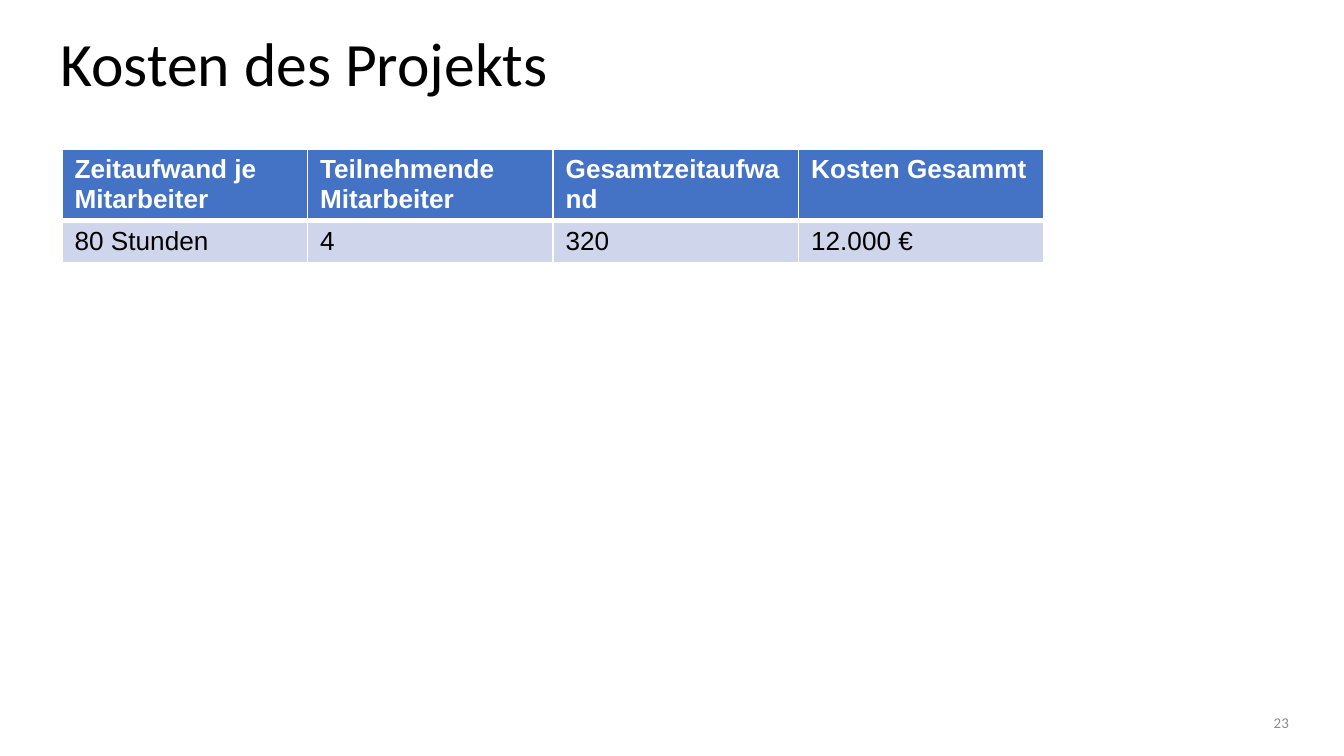
from lxml.etree import SubElement
from pptx import Presentation
from pptx.dml.color import RGBColor
from pptx.enum.text import MSO_ANCHOR, PP_ALIGN
from pptx.oxml.ns import qn
from pptx.util import Cm, Pt

TITLE = "Kosten des Projekts"
PAGE_NUMBER = "23"
ROWS = [
    ["Zeitaufwand je Mitarbeiter", "Teilnehmende Mitarbeiter", "Gesamtzeitaufwand", "Kosten Gesammt"],
    ["80 Stunden", "4", "320", "12.000 €"],
]
ROW_HEIGHTS = [1.35, 0.77]
COLUMN_WIDTH = 4.64
COLORS = {"header": "4472C4", "body": "CFD5EA", "white": "FFFFFF", "black": "000000", "gray": "8C8C8C"}


def color(name):
    return RGBColor.from_string(COLORS[name])


def style_text(paragraph, font_name, size, color_name, bold=False):
    font = paragraph.font
    font.name, font.size, font.bold = font_name, Pt(size), bold
    font.color.rgb = color(color_name)


def add_border(cell, side, width):
    line = SubElement(cell._tc.get_or_add_tcPr(), qn(f"a:ln{side}"), w=str(Pt(width)))
    fill = SubElement(line, qn("a:solidFill"))
    SubElement(fill, qn("a:srgbClr"), val=COLORS["white"])


def add_title(page):
    title = page.shapes.title
    title.left, title.top, title.width, title.height = Cm(0.89), Cm(0.46), Cm(23.5), Cm(1.6)
    frame = title.text_frame
    frame.text = TITLE
    frame.vertical_anchor = MSO_ANCHOR.MIDDLE
    para = frame.paragraphs[0]
    para.alignment, para.line_spacing = PP_ALIGN.LEFT, 0.9
    style_text(para, "Calibri", 33, "black")


def add_cost_table(page):
    columns = len(ROWS[0])
    table = page.shapes.add_table(
        len(ROWS), columns, Cm(1.17), Cm(2.81), Cm(columns * COLUMN_WIDTH), Cm(sum(ROW_HEIGHTS))
    ).table
    for column in table.columns:
        column.width = Cm(COLUMN_WIDTH)
    for row_index, (texts, height) in enumerate(zip(ROWS, ROW_HEIGHTS)):
        header = row_index == 0
        table.rows[row_index].height = Cm(height)
        widths = {"L": 1, "R": 1, "T": 1 if header else 3, "B": 3 if header else 1}
        for column_index, text in enumerate(texts):
            cell = table.cell(row_index, column_index)
            cell.text = text
            cell.margin_left = cell.margin_right = Cm(0.24)
            cell.margin_top = cell.margin_bottom = Cm(0.12)
            for side, width in widths.items():
                add_border(cell, side, width)
            cell.fill.solid()
            cell.fill.fore_color.rgb = color("header" if header else "body")
            style_text(cell.text_frame.paragraphs[0], "Arial", 14, "white" if header else "black", header)


def add_page_number(page):
    frame = page.shapes.add_textbox(Cm(16.56), Cm(13.39), Cm(7.8), Cm(0.51)).text_frame
    frame.word_wrap = True
    frame.margin_left = frame.margin_right = 0
    frame.vertical_anchor = MSO_ANCHOR.MIDDLE
    para = frame.paragraphs[0]
    para.text, para.alignment = PAGE_NUMBER, PP_ALIGN.RIGHT
    style_text(para, "Calibri", 8, "gray")


def main():
    """Build the slide with the project costs."""
    deck = Presentation()
    deck.slide_width, deck.slide_height = Cm(25.4), Cm(14.28)
    page = deck.slides.add_slide(deck.slide_layouts[5])
    add_title(page)
    add_cost_table(page)
    add_page_number(page)
    deck.save("out.pptx")


if __name__ == "__main__":
    main()
